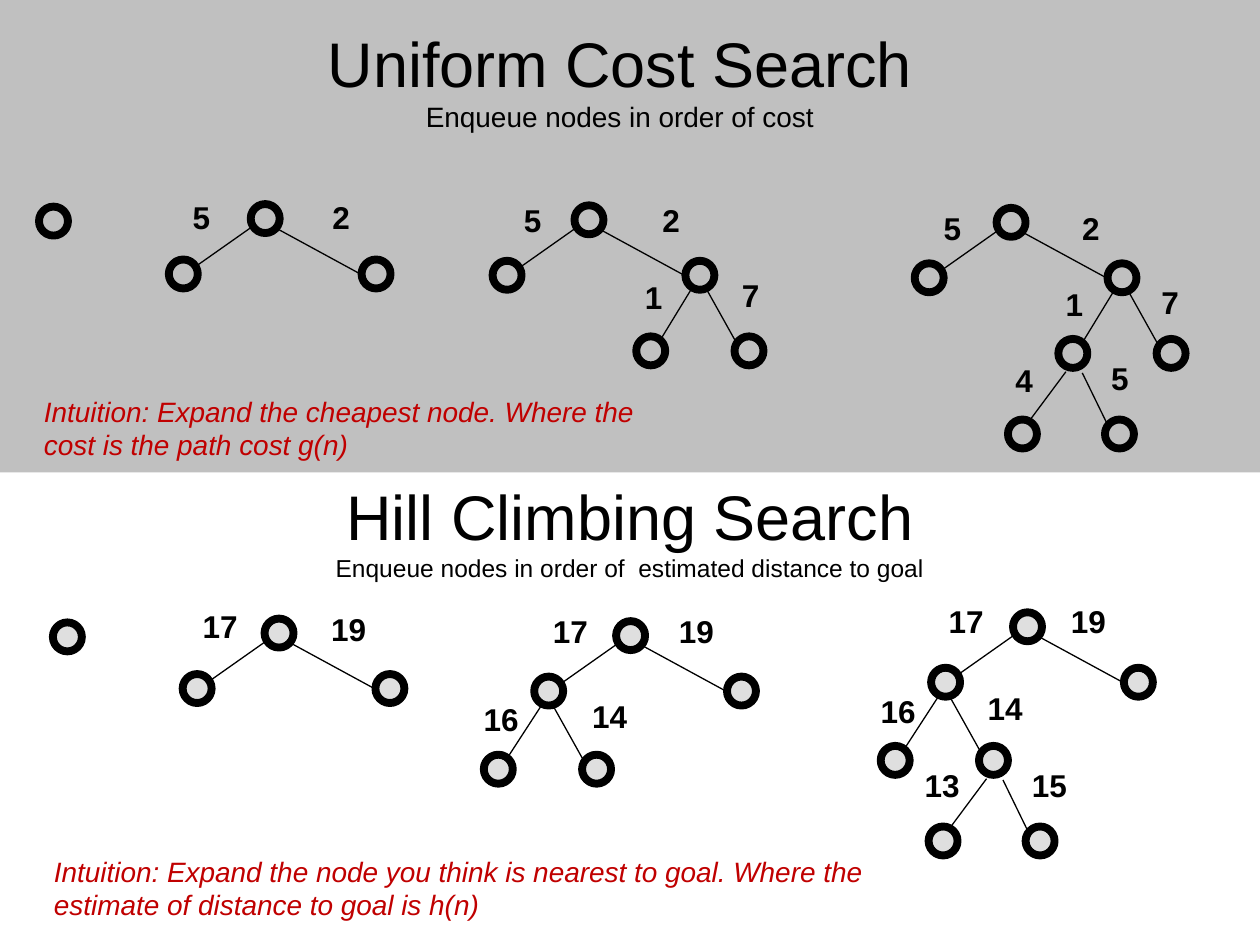
from dataclasses import dataclass

from lxml import etree
from pptx import Presentation
from pptx import util as u
from pptx.dml.color import RGBColor
from pptx.enum import shapes, text
from pptx.oxml.ns import qn


@dataclass(frozen=True)
class Theme:
    font: str = "Arial"
    ink: str = "000000"
    grey: str = "C0C0C0"
    red: str = "C00000"
    title: int = 36
    body: int = 16
    small: int = 14
    cost: int = 18
    ring: float = 4.5
    edge: float = 0.75
    node: float = 0.23


THEME = Theme()

# A fork is two branches: child offset, line start, line end.
# All are measured from the top left of the parent node.
WIDE = (((-0.65, 0.44), (0.01, 0.18), (-0.43, 0.49)),
        ((0.88, 0.44), (0.2, 0.19), (0.88, 0.56)))
NARROW = (((-0.39, 0.6), (0.05, 0.22), (-0.2, 0.63)),
          ((0.39, 0.6), (0.17, 0.23), (0.41, 0.66)))
STEEP = (((-0.4, 0.62), (0.05, 0.24), (-0.21, 0.64)),
         ((0.38, 0.62), (0.16, 0.25), (0.4, 0.68)))
LOW = (((-0.4, 0.64), (0.06, 0.26), (-0.23, 0.65)),
       ((0.37, 0.64), (0.19, 0.27), (0.39, 0.68)))

LEFT, RIGHT = 0, 1

# A tree is its root and its levels: the side expanded next
# (None at the root), the fork, and the two costs with their places.
UNIFORM_TREES = [
    ((0.31, 1.64), []),
    ((1.99, 1.62), [
        (None, WIDE, [("5", 1.43, 1.52), ("2", 2.54, 1.52)])]),
    ((4.56, 1.63), [
        (None, WIDE, [("5", 4.06, 1.55), ("2", 5.16, 1.55)]),
        (RIGHT, NARROW, [("1", 5.02, 2.16), ("7", 5.79, 2.14)])]),
    ((7.91, 1.65), [
        (None, WIDE, [("5", 7.39, 1.61), ("2", 8.49, 1.61)]),
        (RIGHT, NARROW, [("1", 8.36, 2.21), ("7", 9.12, 2.2)]),
        (LEFT, LOW, [("4", 7.96, 2.82), ("5", 8.72, 2.8)])]),
]
HILL_TREES = [
    ((0.42, 4.94), []),
    ((2.1, 4.91), [
        (None, WIDE, [("17", 1.51, 4.77), ("19", 2.53, 4.79)])]),
    ((4.89, 4.93), [
        (None, WIDE, [("17", 4.29, 4.81), ("19", 5.29, 4.81)]),
        (LEFT, STEEP, [("16", 3.74, 5.51), ("14", 4.6, 5.48)])]),
    ((8.04, 4.86), [
        (None, WIDE, [("17", 7.43, 4.73), ("19", 8.4, 4.73)]),
        (LEFT, STEEP, [("16", 6.89, 5.44), ("14", 7.74, 5.42)]),
        (RIGHT, LOW, [("13", 7.24, 6.03), ("15", 8.09, 6.03)])]),
]


def inches(*values):
    return [u.Inches(v) for v in values]


def shift(point, offset):
    return point[0] + offset[0], point[1] + offset[1]


def add_run(p, words, size, color=THEME.ink, **styles):
    r = p.add_run()
    r.text = words
    r.font.color.rgb = RGBColor.from_string(color)
    formats = {"name": THEME.font, "size": u.Pt(size), **styles}
    for name, value in formats.items():
        setattr(r.font, name, value)


def add_text(s, box, words, size, wrap=True, **styles):
    tf = s.shapes.add_textbox(*inches(*box)).text_frame
    tf.word_wrap = wrap
    add_run(tf.paragraphs[0], words, size, **styles)


def fill_heading(sp, box, title, subtitle, size):
    sp.left, sp.top, sp.width, sp.height = inches(*box)
    tf = sp.text_frame
    formats = {"word_wrap": True, "auto_size": text.MSO_AUTO_SIZE.NONE,
               "vertical_anchor": text.MSO_ANCHOR.MIDDLE}
    for name, value in formats.items():
        setattr(tf, name, value)
    p = tf.paragraphs[0]
    p.alignment = text.PP_ALIGN.CENTER
    add_run(p, title, THEME.title)
    p.add_line_break()
    add_run(p, subtitle, size)


def add_band(s, box):
    sp = s.shapes.add_shape(shapes.MSO_SHAPE.RECTANGLE, *inches(*box))
    sp.shadow.inherit = False
    sp.fill.solid()
    sp.fill.fore_color.rgb = RGBColor.from_string(THEME.grey)
    sp.line.fill.background()
    # The band lies behind the title
    s.shapes.title.element.addprevious(sp.element)


def add_node(s, at):
    sp = s.shapes.add_shape(shapes.MSO_SHAPE.OVAL,
                            *inches(*at, THEME.node, THEME.node))
    sp.shadow.inherit = False
    sp.fill.solid()
    sp.fill.fore_color.rgb = RGBColor.from_string(THEME.grey)
    color = sp.element.spPr.find(qn("a:solidFill")).find(qn("a:srgbClr"))
    etree.SubElement(color, qn("a:alpha"), val="50000")
    sp.line.color.rgb = RGBColor.from_string(THEME.ink)
    sp.line.width = u.Pt(THEME.ring)


def add_edge(s, start, end):
    line = s.shapes.add_connector(shapes.MSO_CONNECTOR.STRAIGHT,
                                  *inches(*start, *end))
    line.line.color.rgb = RGBColor.from_string(THEME.ink)
    line.line.width = u.Pt(THEME.edge)
    etree.SubElement(line.element.spPr, qn("a:effectLst"))


def add_cost(s, words, x, y):
    width = 0.34 if len(words) == 1 else 0.48
    add_text(s, (x, y, width, 0.4), words, THEME.cost, wrap=False, bold=True)


def add_tree(s, root, levels):
    add_node(s, root)
    parent, children = root, []
    for side, fork, costs in levels:
        if side is not None:
            parent = children[side]
        children = [shift(parent, child) for child, _, _ in fork]
        for child, (_, start, end) in zip(children, fork):
            add_node(s, child)
            add_edge(s, shift(parent, start), shift(parent, end))
        for cost in costs:
            add_cost(s, *cost)


def main():
    prs = Presentation()
    prs.slide_width, prs.slide_height = inches(10, 7.5)
    s = prs.slides.add_slide(prs.slide_layouts[5])

    # Upper half: uniform cost search
    add_band(s, (0, 0, 10, 3.75))
    fill_heading(s.shapes.title, (0.67, 0.25, 8.5, 0.75),
                 "Uniform Cost Search",
                 "Enqueue nodes in order of cost", THEME.body)
    add_text(s, (0.25, 3.08, 5.31, 0.64),
             "Intuition: Expand the cheapest node. Where the cost is "
             "the path cost g(n)", THEME.body, color=THEME.red, italic=True)

    # Lower half: hill climbing search
    box = (0.75, 3.83, 8.5, 0.75)
    fill_heading(s.shapes.add_textbox(*inches(*box)), box,
                 "Hill Climbing Search",
                 "Enqueue nodes in order of  estimated distance to goal",
                 THEME.small)
    add_text(s, (0.33, 6.73, 6.76, 0.64),
             "Intuition: Expand the node you think is nearest to goal. Where "
             "the estimate of distance to goal is h(n)",
             THEME.body, color=THEME.red, italic=True)

    # Search trees, one expansion further at each step
    for root, levels in UNIFORM_TREES + HILL_TREES:
        add_tree(s, root, levels)

    prs.save("out.pptx")


if __name__ == "__main__":
    main()
